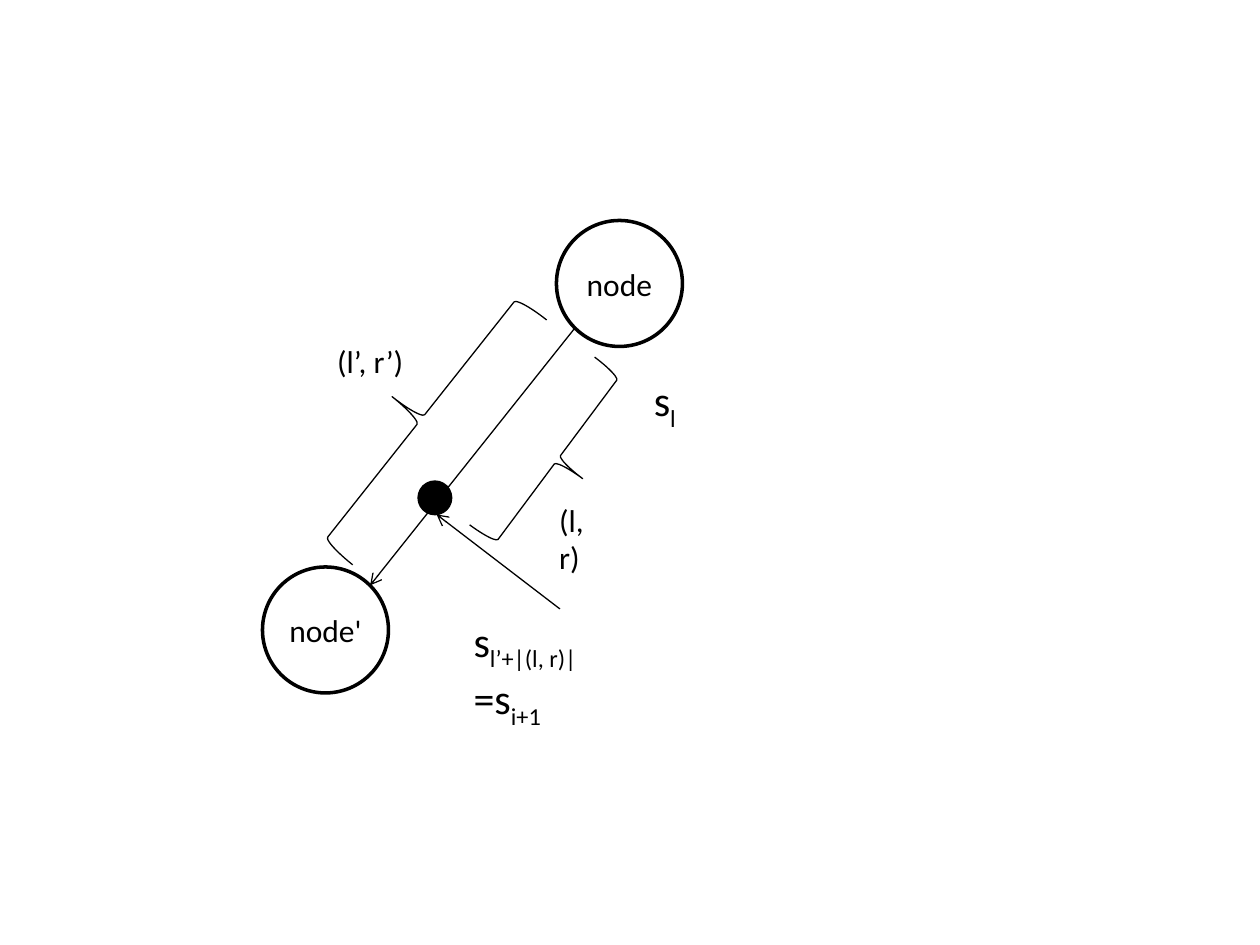
from pptx import Presentation
from pptx.dml import color
from pptx.enum import shapes, text
from pptx.oxml import ns
from pptx.util import Pt
from lxml import etree

INK = {"black": "000000"}
FONT = "Calibri"
KIND = shapes.MSO_SHAPE


def rgb(name):
    return color.RGBColor.from_string(INK[name])


def style(font, size):
    font.name, font.size = FONT, Pt(size)
    font.color.rgb = rgb("black")


def outline(slide, kind, box, width):
    """Unfilled preset shape with a black line."""
    shape = slide.shapes.add_shape(kind, *map(Pt, box))
    shape.shadow.inherit = False
    shape.fill.background()
    shape.line.color.rgb = rgb("black")
    shape.line.width = Pt(width)
    return shape


def node(slide, box, name):
    frame = outline(slide, KIND.OVAL, box, 2).text_frame
    frame.margin_left = frame.margin_right = 0
    frame.margin_top = frame.margin_bottom = 0
    frame.word_wrap = False
    frame.vertical_anchor = text.MSO_ANCHOR.MIDDLE
    par = frame.paragraphs[0]
    par.text = name
    par.alignment = text.PP_ALIGN.CENTER
    style(par.font, 18)


def dot(slide, box):
    shape = outline(slide, KIND.OVAL, box, 2)
    shape.fill.solid()
    shape.fill.fore_color.rgb = rgb("black")


def brace(slide, kind, box, turn):
    outline(slide, kind, box, 0.75).rotation = turn


def arrow(slide, start, end):
    line = slide.shapes.add_connector(
        shapes.MSO_CONNECTOR.STRAIGHT, *map(Pt, start + end))
    line.line.color.rgb = rgb("black")
    line.line.width = Pt(0.75)
    props = line._element.spPr
    etree.SubElement(props.get_or_add_ln(), ns.qn("a:tailEnd"), type="arrow")
    etree.SubElement(props, ns.qn("a:effectLst"))


def label(slide, box, parts, size):
    """Text whose every second part is a subscript."""
    frame = slide.shapes.add_textbox(*map(Pt, box)).text_frame
    frame.word_wrap = False
    frame.auto_size = text.MSO_AUTO_SIZE.SHAPE_TO_FIT_TEXT
    par = frame.paragraphs[0]
    style(par.font, size)
    for i, part in enumerate(parts):
        run = par.add_run()
        run.text = part
        if i % 2:
            run._r.get_or_add_rPr().set("baseline", "-25000")


def tree(slide, left, top):
    """Suffix tree edge, split at an inner point."""
    def at(x, y, *size):
        return (left + x, top + y) + size

    # Nodes and split point
    node(slide, at(0, 198, 72, 72), "node'")
    node(slide, at(168, 0, 72, 72), "node")
    dot(slide, at(89.5, 149.5, 18, 18))

    # Edge and its spans
    arrow(slide, at(178.5, 61.5), at(61.5, 208.5))
    brace(slide, KIND.LEFT_BRACE, at(69.5, 24.5, 42, 178.5), 38.4)
    label(slide, at(35.5, 66, 53.5, 29), ["(l’, r’)"], 18)
    brace(slide, KIND.RIGHT_BRACE, at(150.5, 77, 36, 119.5), 36.7)
    label(slide, at(162.5, 156.5, 44, 29), ["(l, r)"], 18)

    # Symbols
    label(slide, at(216.5, 84.5, 27, 40), ["s", "l"], 24)
    label(slide, at(113.5, 222, 111.5, 40),
          ["s", "l’+|(l, r)|", "=s", "i+1"], 24)
    arrow(slide, at(170, 222), at(99.5, 168))


def main():
    deck = Presentation()
    deck.slide_width, deck.slide_height = Pt(720), Pt(540)
    slide = deck.slides.add_slide(deck.slide_layouts[6])
    tree(slide, 150, 126)
    deck.save("out.pptx")


if __name__ == "__main__":
    main()
